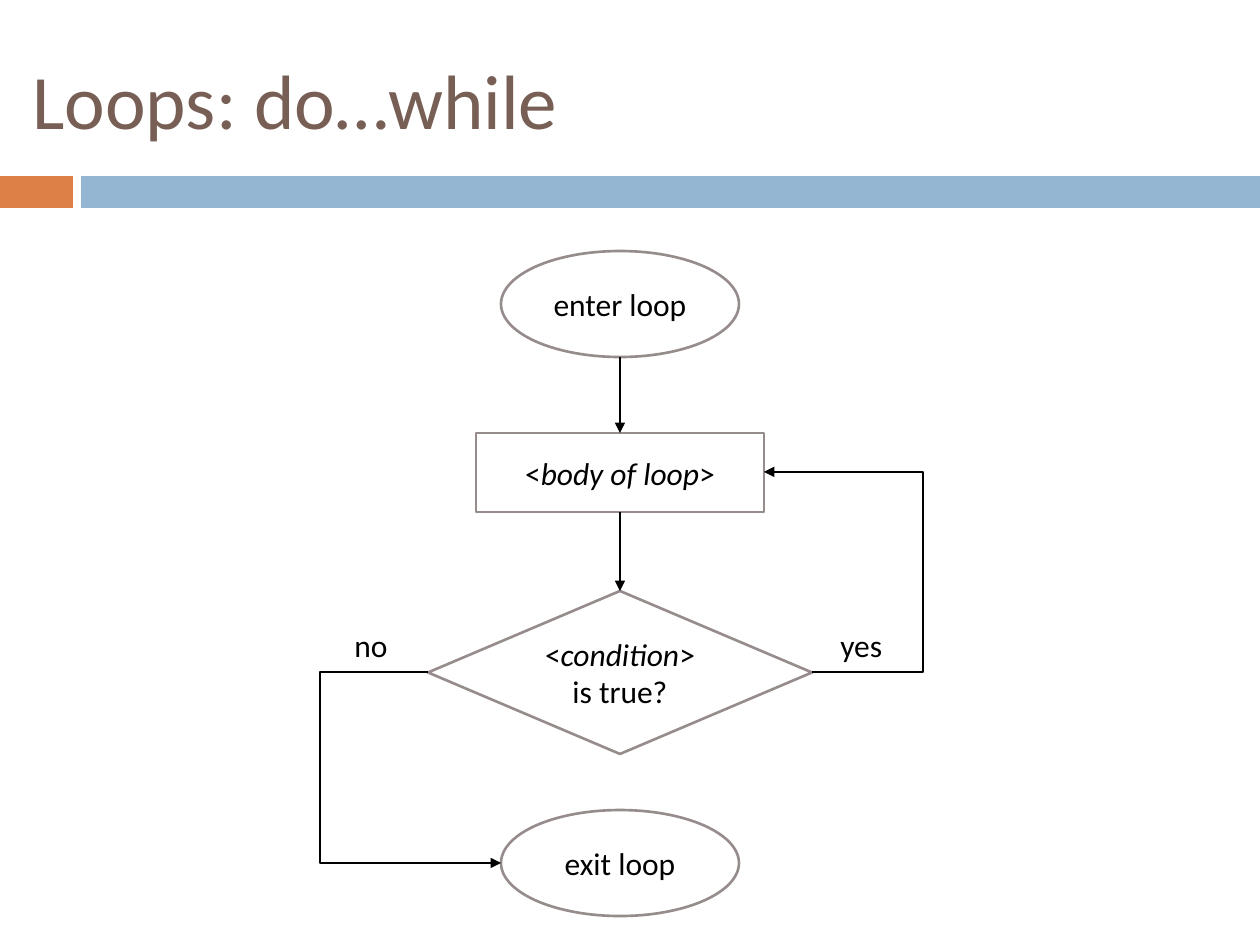
from dataclasses import dataclass
from typing import Optional

from lxml import etree
from pptx import Presentation
from pptx.dml.color import RGBColor
from pptx.enum.shapes import MSO_CONNECTOR, MSO_SHAPE
from pptx.enum.text import MSO_ANCHOR, PP_ALIGN
from pptx.oxml.ns import qn
from pptx.util import Emu, Pt

RECT = MSO_SHAPE.RECTANGLE
OVAL = MSO_SHAPE.OVAL
DECISION = MSO_SHAPE.FLOWCHART_DECISION
STRAIGHT = MSO_CONNECTOR.STRAIGHT
ELBOW = MSO_CONNECTOR.ELBOW
MIDDLE = MSO_ANCHOR.MIDDLE
CENTER = PP_ALIGN.CENTER
TOP, BOTTOM = 0, 2

ORANGE = RGBColor(0xDD, 0x80, 0x47)
BLUE = RGBColor(0x94, 0xB6, 0xD2)
BROWN = RGBColor(0x77, 0x5F, 0x55)
GREY = RGBColor(0x96, 0x8C, 0x8C)
BLACK = RGBColor(0, 0, 0)
WHITE = RGBColor(0xFF, 0xFF, 0xFF)

FONT = "Calibri"
PX_PER_INCH = 126
AXIS = 620  # vertical centre line of the flowchart


def px(n: float) -> Emu:
    return Emu(round(n * 914400 / PX_PER_INCH))


@dataclass(frozen=True)
class Node:
    kind: MSO_SHAPE
    top: int
    width: int
    height: int
    runs: tuple[tuple[str, bool], ...]  # (text, italic)

    @property
    def left(self) -> int:
        return AXIS - self.width // 2

    @property
    def right(self) -> int:
        return AXIS + self.width // 2

    @property
    def bottom(self) -> int:
        return self.top + self.height

    @property
    def middle(self) -> int:
        return self.top + self.height // 2


@dataclass(frozen=True)
class Label:
    text: str
    left: int
    top: int
    width: int
    height: int
    size: int = 18
    color: RGBColor = BLACK


ENTER = Node(OVAL, 251, 238, 106, (("enter loop", False),))
BODY = Node(RECT, 433, 288, 79, (("<", False), ("body of loop", True), (">", False)))
CONDITION = Node(DECISION, 591, 384, 163,
                 (("<", False), ("condition", True), ("> is true?", False)))
EXIT = Node(OVAL, 810, 238, 106, (("exit loop", False),))

TITLE = Label("Loops: do…while", 20, 31, 1240, 136, 44, BROWN)
YES = Label("yes", 828, 620, 69, 50)
NO = Label("no", 342, 620, 59, 50)
YES_LANE, NO_LANE = 923, 320  # x of the vertical part of each branch


def set_font(p, size: int, color: RGBColor) -> None:
    p.font.name = FONT
    p.font.size = Pt(size)
    p.font.color.rgb = color


def add_band(slide, left: int, width: int, color: RGBColor) -> None:
    sp = slide.shapes.add_shape(RECT, px(left), px(176), px(width), px(32))
    sp.shadow.inherit = False
    sp.fill.solid()
    sp.fill.fore_color.rgb = color
    sp.line.fill.background()


def add_label(slide, label: Label):
    box = slide.shapes.add_textbox(px(label.left), px(label.top),
                                   px(label.width), px(label.height))
    tf = box.text_frame
    tf.word_wrap = True
    p = tf.paragraphs[0]
    p.text = label.text
    set_font(p, label.size, label.color)
    return box


def add_node(slide, node: Node):
    sp = slide.shapes.add_shape(node.kind, px(node.left), px(node.top),
                                px(node.width), px(node.height))
    sp.shadow.inherit = False
    sp.fill.solid()
    sp.fill.fore_color.rgb = WHITE
    sp.line.color.rgb = GREY
    sp.line.width = Pt(1.5)
    tf = sp.text_frame
    tf.word_wrap = True
    tf.vertical_anchor = MIDDLE
    p = tf.paragraphs[0]
    p.alignment = CENTER
    set_font(p, 18, BLACK)
    for text, italic in node.runs:
        r = p.add_run()
        r.text = text
        r.font.italic = italic
    return sp


def add_arrow(slide, start: tuple[int, int], end: tuple[int, int],
              lane: Optional[int] = None):
    """Draw a straight arrow, or one bent through the vertical line x = lane."""
    kind = STRAIGHT if lane is None else ELBOW
    cxn = slide.shapes.add_connector(kind, *map(px, start + end))
    cxn.line.color.rgb = BLACK
    cxn.line.width = Pt(0.79)
    etree.SubElement(cxn.line._get_or_add_ln(), qn("a:tailEnd"), type="triangle")
    sp_pr = cxn._element.spPr
    etree.SubElement(sp_pr, qn("a:effectLst"))
    if lane is not None:
        bend = round(100000 * (lane - start[0]) / (end[0] - start[0]))
        guides = sp_pr.find(qn("a:prstGeom")).get_or_add_avLst()
        etree.SubElement(guides, qn("a:gd"), name="adj1", fmla=f"val {bend}")
    return cxn


def main() -> None:
    prs = Presentation()
    prs.slide_width, prs.slide_height = px(1260), px(945)
    slide = prs.slides.add_slide(prs.slide_layouts[6])

    add_band(slide, 0, 73, ORANGE)
    add_band(slide, 81, 1179, BLUE)
    add_label(slide, TITLE).text_frame.vertical_anchor = MIDDLE

    add_node(slide, ENTER)
    condition = add_node(slide, CONDITION)
    body = add_node(slide, BODY)
    add_node(slide, EXIT)
    add_label(slide, YES)
    add_label(slide, NO)

    to_body = add_arrow(slide, (AXIS, ENTER.bottom), (AXIS, BODY.top))
    to_body.end_connect(body, TOP)
    to_condition = add_arrow(slide, (AXIS, BODY.bottom), (AXIS, CONDITION.top))
    to_condition.begin_connect(body, BOTTOM)
    to_condition.end_connect(condition, TOP)
    add_arrow(slide, (CONDITION.right, CONDITION.middle),
              (BODY.right, BODY.middle), YES_LANE)
    add_arrow(slide, (CONDITION.left, CONDITION.middle),
              (EXIT.left, EXIT.middle), NO_LANE)

    prs.save("out.pptx")


if __name__ == "__main__":
    main()
